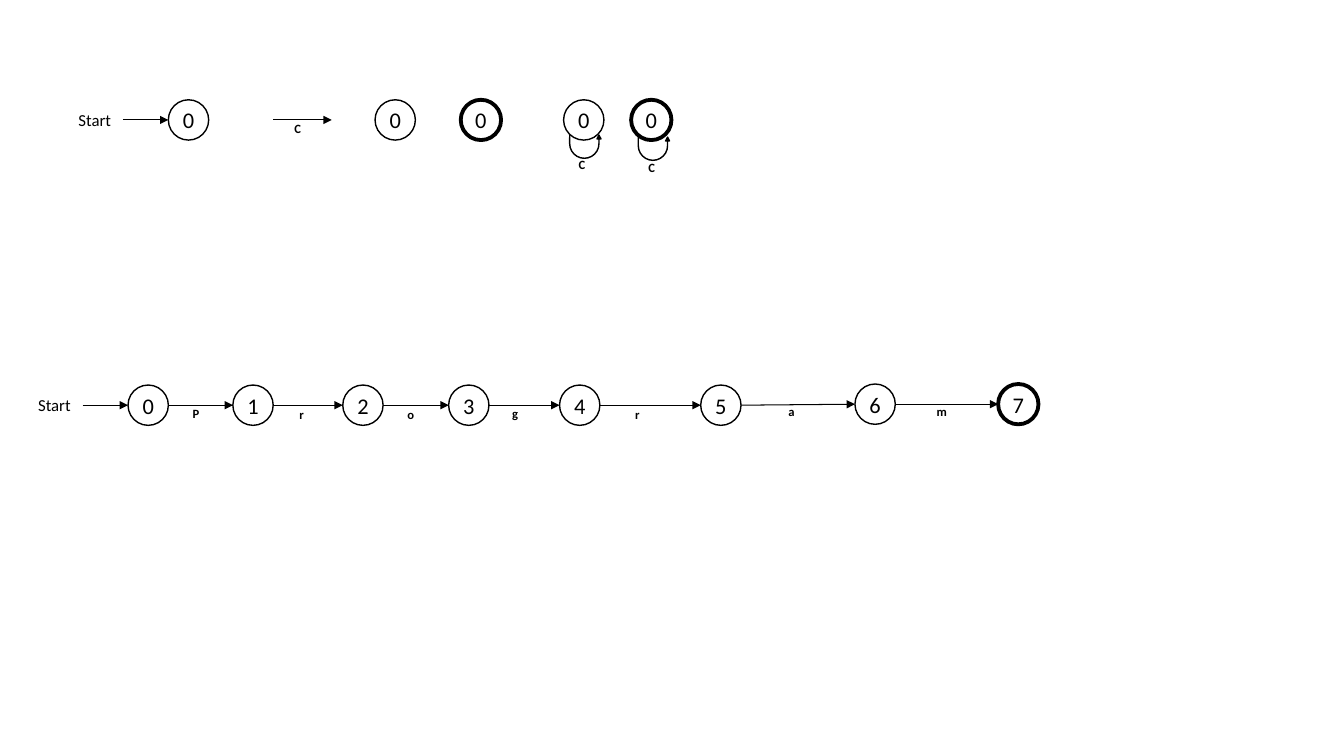
from dataclasses import dataclass

from lxml.etree import SubElement
from pptx import Presentation
from pptx.dml.color import RGBColor
from pptx.enum.shapes import MSO_CONNECTOR as Connector, MSO_SHAPE as Shape
from pptx.enum.text import MSO_ANCHOR as Anchor, PP_ALIGN as Align
from pptx.oxml.ns import qn
from pptx.util import Inches, Pt


@dataclass(frozen=True)
class Theme:
    font: str = "Calibri"
    ink: RGBColor = RGBColor(0, 0, 0)
    state_size: float = 16
    start_size: float = 12
    symbol_size: float = 9
    arrow_width: float = 0.75
    state_width: float = 1
    final_width: float = 2.75


THEME = Theme()
DIAMETER = 0.4
RADIUS = DIAMETER / 2

# Automaton for "Program": left and top of each state
STATES = [(1.27, 3.82), (2.31, 3.82), (3.4, 3.82), (4.45, 3.82),
          (5.55, 3.82), (6.95, 3.82), (8.48, 3.81), (9.9, 3.81)]
# Symbol, left and top of each transition label
SYMBOLS = [("P", 1.85, 3.98), ("r", 2.91, 3.99), ("o", 3.98, 3.99), ("g", 5.02, 3.98),
           ("r", 6.24, 3.99), ("a", 7.76, 3.96), ("m", 9.23, 3.96)]
LEGEND_TOP = 0.99


def write(frame, text, size, bold=False, align=Align.LEFT, **frame_format):
    for name, value in frame_format.items():
        setattr(frame, name, value)
    paragraph = frame.paragraphs[0]
    paragraph.alignment = align
    run = paragraph.add_run()
    run.text = text
    for name, value in {"name": THEME.font, "size": Pt(size), "bold": bold}.items():
        setattr(run.font, name, value)
    run.font.color.rgb = THEME.ink


def outline(line, width):
    line.color.rgb = THEME.ink
    line.width = Pt(width)


def add_label(shapes, text, left, top):
    box = shapes.add_textbox(Inches(left), Inches(top), Inches(0.16), Inches(0.25))
    write(box.text_frame, text, THEME.symbol_size, bold=True, word_wrap=True,
          margin_left=Inches(0.06), margin_right=0)


def add_arrow(shapes, x1, y1, x2, y2):
    arrow = shapes.add_connector(Connector.STRAIGHT, Inches(x1), Inches(y1),
                                 Inches(x2), Inches(y2))
    outline(arrow.line, THEME.arrow_width)
    SubElement(arrow.line._get_or_add_ln(), qn("a:tailEnd"), type="triangle")
    SubElement(arrow._element.spPr, qn("a:effectLst"))


def add_state(shapes, text, left, top, final=False):
    state = shapes.add_shape(Shape.OVAL, Inches(left), Inches(top),
                             Inches(DIAMETER), Inches(DIAMETER))
    state.shadow.inherit = False
    state.fill.background()
    outline(state.line, THEME.final_width if final else THEME.state_width)
    write(state.text_frame, text, THEME.state_size, align=Align.CENTER,
          vertical_anchor=Anchor.MIDDLE, word_wrap=True,
          margin_left=0, margin_right=0, margin_top=0, margin_bottom=0)


def add_start_state(slide, left, top):
    shapes = slide.shapes.add_group_shape().shapes
    middle = top + RADIUS
    box = shapes.add_textbox(Inches(left - 0.99), Inches(middle - 0.15),
                             Inches(0.53), Inches(0.3))
    write(box.text_frame, "Start", THEME.start_size, word_wrap=False)
    add_arrow(shapes, left - 0.45, middle, left, middle)
    add_state(shapes, "0", left, top)


def add_transition(slide, symbol, start, end, label):
    shapes = slide.shapes.add_group_shape().shapes
    add_arrow(shapes, *start, *end)
    add_label(shapes, symbol, *label)


def add_looped_state(slide, left, loop, label, final):
    shapes = slide.shapes.add_group_shape().shapes
    add_state(shapes, "0", left, LEGEND_TOP, final)
    # U-turn arrow below the state, mirrored top to bottom
    turn = shapes.add_shape(Shape.U_TURN_ARROW, Inches(loop[0]), Inches(loop[1]),
                            Inches(0.31), Inches(0.23))
    for index, value in enumerate([0, 0.085, 0.164, 0.717, 1]):
        turn.adjustments[index] = value
    turn.rotation = 180
    turn._element.spPr.xfrm.set("flipH", "1")
    turn.shadow.inherit = False
    turn.fill.solid()
    turn.fill.fore_color.rgb = THEME.ink
    outline(turn.line, THEME.state_width)
    add_label(shapes, "C", *label)


def add_legend(slide):
    middle = LEGEND_TOP + RADIUS
    add_start_state(slide, 1.67, LEGEND_TOP)
    add_transition(slide, "C", (2.71, middle), (3.29, middle), (2.86, 1.15))
    add_state(slide.shapes, "0", 3.72, LEGEND_TOP)
    add_state(slide.shapes, "0", 4.57, LEGEND_TOP, final=True)
    add_looped_state(slide, 5.59, (5.65, 1.34), (5.68, 1.51), final=False)
    add_looped_state(slide, 6.26, (6.33, 1.36), (6.37, 1.54), final=True)


def add_automaton(slide):
    add_start_state(slide, *STATES[0])
    last = len(STATES) - 1
    for number, (left, top) in enumerate(STATES[1:], start=1):
        source_left, source_top = STATES[number - 1]
        symbol, *label = SYMBOLS[number - 1]
        add_transition(slide, symbol, (source_left + DIAMETER, source_top + RADIUS),
                       (left, top + RADIUS), label)
        add_state(slide.shapes, str(number), left, top, final=number == last)


def main():
    deck = Presentation()
    deck.slide_width, deck.slide_height = Inches(13.33), Inches(7.5)
    slide = deck.slides.add_slide(deck.slide_layouts[6])
    add_legend(slide)
    add_automaton(slide)
    deck.save("out.pptx")


if __name__ == "__main__":
    main()
